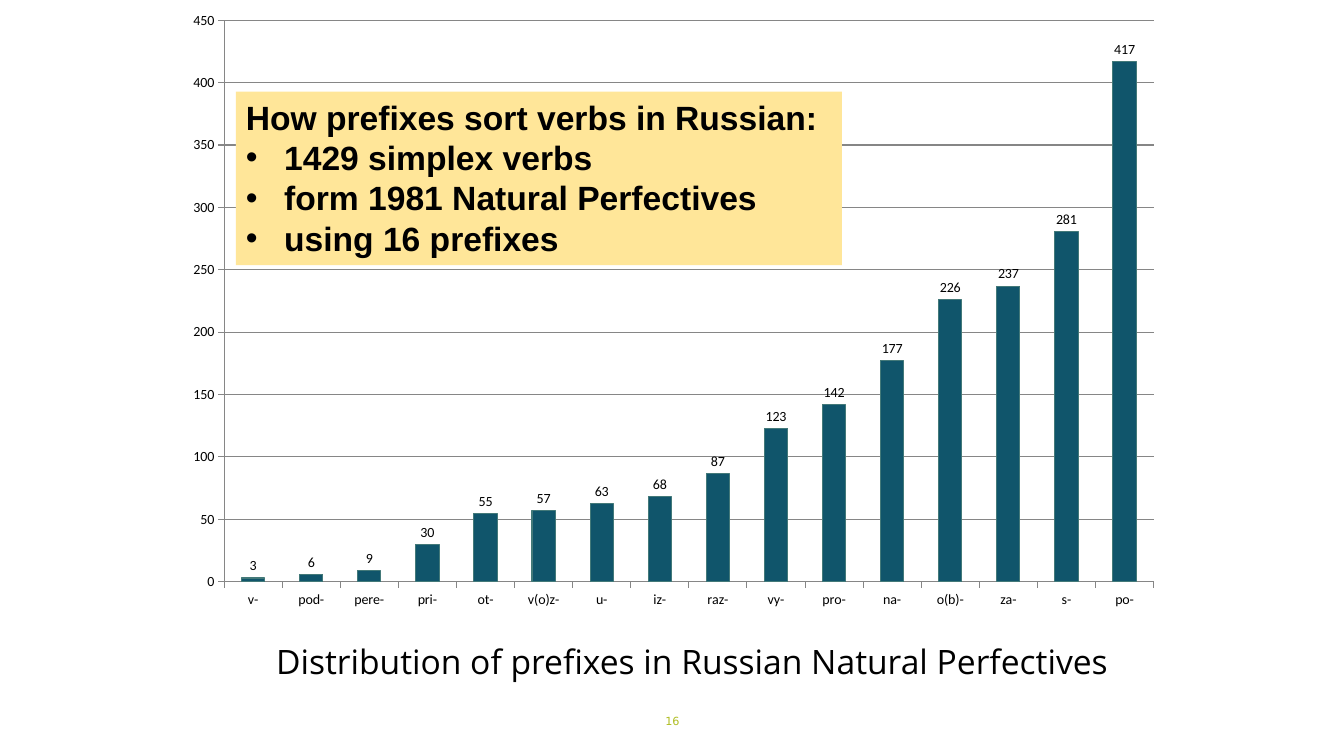
from dataclasses import dataclass

from lxml.etree import SubElement
from pptx import Presentation
from pptx.chart.data import CategoryChartData as Data
from pptx.dml.color import RGBColor as Rgb
from pptx.enum.chart import XL_CHART_TYPE as Kind
from pptx.enum.chart import XL_LABEL_POSITION as Spot
from pptx.enum.chart import XL_TICK_MARK as Tick
from pptx.enum.text import MSO_ANCHOR as Anchor
from pptx.enum.text import MSO_AUTO_SIZE as Fit
from pptx.enum.text import PP_ALIGN as Align
from pptx.oxml.ns import qn
from pptx.util import Emu, Pt

PX = 9144  # 100 px to the inch


@dataclass(frozen=True)
class Theme:
    ink: Rgb = Rgb(0, 0, 0)
    bar: Rgb = Rgb(0x10, 0x55, 0x6B)
    edge: Rgb = Rgb(0x43, 0x79, 0x79)
    grid: Rgb = Rgb(0x86, 0x86, 0x86)
    note: Rgb = Rgb(0xFF, 0xE6, 0x99)
    lime: Rgb = Rgb(0xAF, 0xBD, 0x22)
    big: int = 24
    mid: int = 10
    small: int = 8


def px(*sizes):
    return [Emu(size * PX) for size in sizes]


def style(font, name, size, color, bold=False):
    font.name, font.size, font.bold = name, Pt(size), bold
    font.color.rgb = color


class Page:
    def __init__(self, deck, theme):
        self.theme = theme
        self.slide = deck.slides.add_slide(deck.slide_layouts[6])

    def text(self, box, words, name, size, color, anchor=Anchor.TOP, lead=1.0):
        frame = self.slide.shapes.add_textbox(*px(*box)).text_frame
        frame.word_wrap = True
        frame.vertical_anchor = anchor
        para = frame.paragraphs[0]
        para.text, para.alignment, para.line_spacing = words, Align.CENTER, lead
        style(para.font, name, size, color)

    def note(self, box, head, points):
        """Add a filled box with a heading and bullet points."""
        shape = self.slide.shapes.add_textbox(*px(*box))
        shape.fill.solid()
        shape.fill.fore_color.rgb = self.theme.note
        frame = shape.text_frame
        frame.word_wrap = False
        frame.auto_size = Fit.SHAPE_TO_FIT_TEXT
        frame.text = "\n".join([head, *points])
        for para in frame.paragraphs[1:]:
            props = para._p.get_or_add_pPr()
            props.set("marL", str(38 * PX))
            props.set("indent", str(-38 * PX))
            SubElement(props, qn("a:buFont")).set("typeface", "Arial")
            SubElement(props, qn("a:buChar")).set("char", "•")
        for para in frame.paragraphs:
            style(para.font, "Arial", self.theme.big, self.theme.ink, True)

    def chart(self, box, counts):
        theme = self.theme
        data = Data()
        data.categories = list(counts)
        data.add_series("Series 1", list(counts.values()))
        chart = self.slide.shapes.add_chart(
            Kind.COLUMN_CLUSTERED, *px(*box), data).chart
        chart.has_legend = chart.has_title = False
        style(chart.font, "Calibri", theme.mid, theme.ink)

        value = chart.value_axis
        value.minimum_scale, value.maximum_scale, value.major_unit = 0, 450, 50
        value.has_major_gridlines = True
        for axis in (value, chart.category_axis):
            axis.major_tick_mark = Tick.OUTSIDE
        for part in (value, chart.category_axis, value.major_gridlines):
            part.format.line.color.rgb = theme.grid
            part.format.line.width = Pt(0.75)

        plot = chart.plots[0]
        plot.gap_width, plot.vary_by_categories = 150, False
        plot.has_data_labels = True
        labels = plot.data_labels
        labels.show_value, labels.position = True, Spot.OUTSIDE_END
        style(labels.font, "Calibri", theme.mid, theme.ink)
        bars = plot.series[0].format
        bars.fill.solid()
        bars.fill.fore_color.rgb = theme.bar
        bars.line.color.rgb = theme.edge
        bars.line.width = Pt(0.75)


def main():
    deck = Presentation()
    deck.slide_width, deck.slide_height = px(1333, 750)
    theme = Theme()
    page = Page(deck, theme)
    page.text((226, 635, 921, 88),
              "Distribution of prefixes in Russian Natural Perfectives",
              "Open Sans", theme.big, theme.ink, lead=0.9)
    page.text((442, 695, 450, 40), "16", "DejaVu Sans", theme.small,
              theme.lime, Anchor.MIDDLE)
    page.chart((172, 0, 992, 615), {
        "v-": 3, "pod-": 6, "pere-": 9, "pri-": 30,
        "ot-": 55, "v(o)z-": 57, "u-": 63, "iz-": 68,
        "raz-": 87, "vy-": 123, "pro-": 142, "na-": 177,
        "o(b)-": 226, "za-": 237, "s-": 281, "po-": 417,
    })
    page.note((234, 91, 601, 172), "How prefixes sort verbs in Russian:", [
        "1429 simplex verbs",
        "form 1981 Natural Perfectives",
        "using 16 prefixes",
    ])
    deck.save("out.pptx")


if __name__ == "__main__":
    main()
